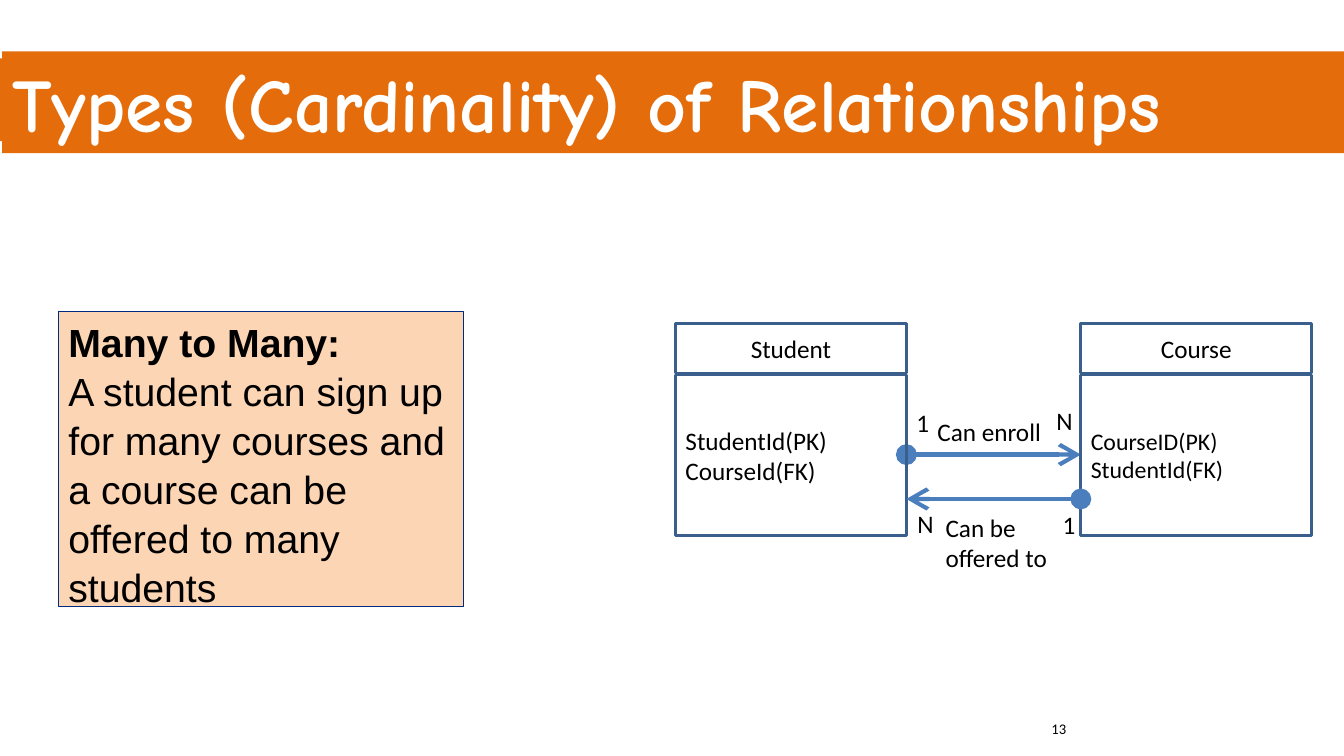
from pptx import Presentation
from pptx.dml.color import RGBColor
from pptx.enum.shapes import MSO_CONNECTOR, MSO_SHAPE
from pptx.enum.text import MSO_ANCHOR as ANCHOR, MSO_AUTO_SIZE, PP_ALIGN as ALIGN
from pptx.oxml.ns import qn
from pptx.util import Pt
from lxml.etree import SubElement

PX = 9144
ORANGE, PEACH, NAVY = "E46C0A", "FCD5B5", "002A7E"
ARROW_BLUE, ENTITY_BLUE = "4B7EBC", "3A5F8C"


def px(*lengths):
    return [n * PX for n in lengths]


def rgb(value):
    return RGBColor.from_string(value)


def write(tf, lines, size=18, font="Calibri", color="000000", bold=False,
          align=ALIGN.LEFT, anchor=ANCHOR.TOP, wrap=True):
    tf.word_wrap = wrap
    tf.auto_size = MSO_AUTO_SIZE.NONE
    tf.vertical_anchor = anchor
    for i, line in enumerate(lines):
        p = tf.add_paragraph() if i else tf.paragraphs[0]
        p.alignment = align
        r = p.add_run()
        r.text = line
        r.font.size, r.font.name, r.font.bold = Pt(size), font, bold
        r.font.color.rgb = rgb(color)


def add_label(shapes, box, text, **fmt):
    sp = shapes.add_textbox(*px(*box))
    write(sp.text_frame, [text], **fmt)


def add_box(shapes, box, fill=None, line=None, width=1):
    sp = shapes.add_shape(MSO_SHAPE.RECTANGLE, *px(*box))
    sp.shadow.inherit = False
    if fill:
        sp.fill.solid()
        sp.fill.fore_color.rgb = rgb(fill)
    else:
        sp.fill.background()
    if line:
        sp.line.color.rgb = rgb(line)
        sp.line.width = Pt(width)
    else:
        sp.line.fill.background()
    return sp


def add_arrow(shapes, x1, x2, y):
    c = shapes.add_connector(MSO_CONNECTOR.STRAIGHT, *px(x1, y, x2, y))
    c.line.color.rgb = rgb(ARROW_BLUE)
    c.line.width = Pt(3)
    ln = c.line._get_or_add_ln()
    for end, kind in (("a:headEnd", "oval"), ("a:tailEnd", "arrow")):
        SubElement(ln, qn(end), type=kind, w="lg", len="lg")
    SubElement(c._element.spPr, qn("a:effectLst"))


def add_title(s, box, text):
    x, y, w, h = box
    bar = add_box(s.shapes, (0, y + 7, 1333, 82), fill=ORANGE)
    title = s.shapes.title
    title._element.addprevious(bar._element)
    title.left, title.top, title.width, title.height = px(*box)
    title.fill.solid()
    title.fill.fore_color.rgb = rgb(ORANGE)
    write(title.text_frame, [text], size=54, font="Comic Neue",
          color="FFFFFF", bold=True)


def add_definition(s, box, term, meaning):
    sp = add_box(s.shapes, box, fill=PEACH, line=NAVY, width=0.75)
    write(sp.text_frame, [term], size=28, font="Arial", bold=True)
    p = sp.text_frame.paragraphs[0]
    p.line_spacing = 1.04
    p.add_line_break()
    r = p.add_run()
    r.text = meaning
    r.font.size, r.font.name, r.font.bold = Pt(28), "Arial", False
    r.font.color.rgb = rgb("000000")


def add_entity(shapes, box, name, keys, key_size):
    x, y, w, h = box
    body = add_box(shapes, (x, y + 51, w, h - 51), line=ENTITY_BLUE, width=2)
    write(body.text_frame, keys, size=key_size, anchor=ANCHOR.MIDDLE)
    header = add_box(shapes, (x, y, w, 49), line=ENTITY_BLUE, width=2)
    write(header.text_frame, [name], align=ALIGN.CENTER, anchor=ANCHOR.MIDDLE)


def add_diagram(s, box):
    x, y, w, h = box
    shapes = s.shapes.add_group_shape().shapes
    entity_w = 229
    left, right = x + entity_w, x + w - entity_w
    add_arrow(shapes, left, right, y + 130)
    add_entity(shapes, (x, y, entity_w, h), "Student",
               ["StudentId(PK)", "CourseId(FK)"], 18)
    add_entity(shapes, (right, y, entity_w, h), "Course",
               ["CourseID(PK)", "StudentId(FK)"], 17)
    add_arrow(shapes, right, left, y + 174)
    for dx, dy, lw, lh, text in (
            (0, 78, 33, 40, "1"), (21, 87, 130, 40, "Can enroll"),
            (139, 76, 36, 40, "N"), (1, 178, 33, 40, "N"),
            (29, 182, 130, 71, "Can be offered to"), (145, 179, 33, 40, "1")):
        add_label(shapes, (left + dx, y + dy, lw, lh), text, wrap=len(text) > 1)


def main():
    prs = Presentation()
    prs.slide_width, prs.slide_height = px(1333, 750)
    s = prs.slides.add_slide(prs.slide_layouts[5])
    add_title(s, (2, 51, 1336, 101), "Types (Cardinality) of Relationships")
    add_label(s.shapes, (1033, 709, 300, 40), "13", size=10.5)
    add_definition(s, (58, 309, 402, 293), "Many to Many:",
                   "A student can sign up for many courses and a course "
                   "can be offered to many students")
    add_diagram(s, (670, 321, 631, 210))
    prs.save("out.pptx")


if __name__ == "__main__":
    main()
